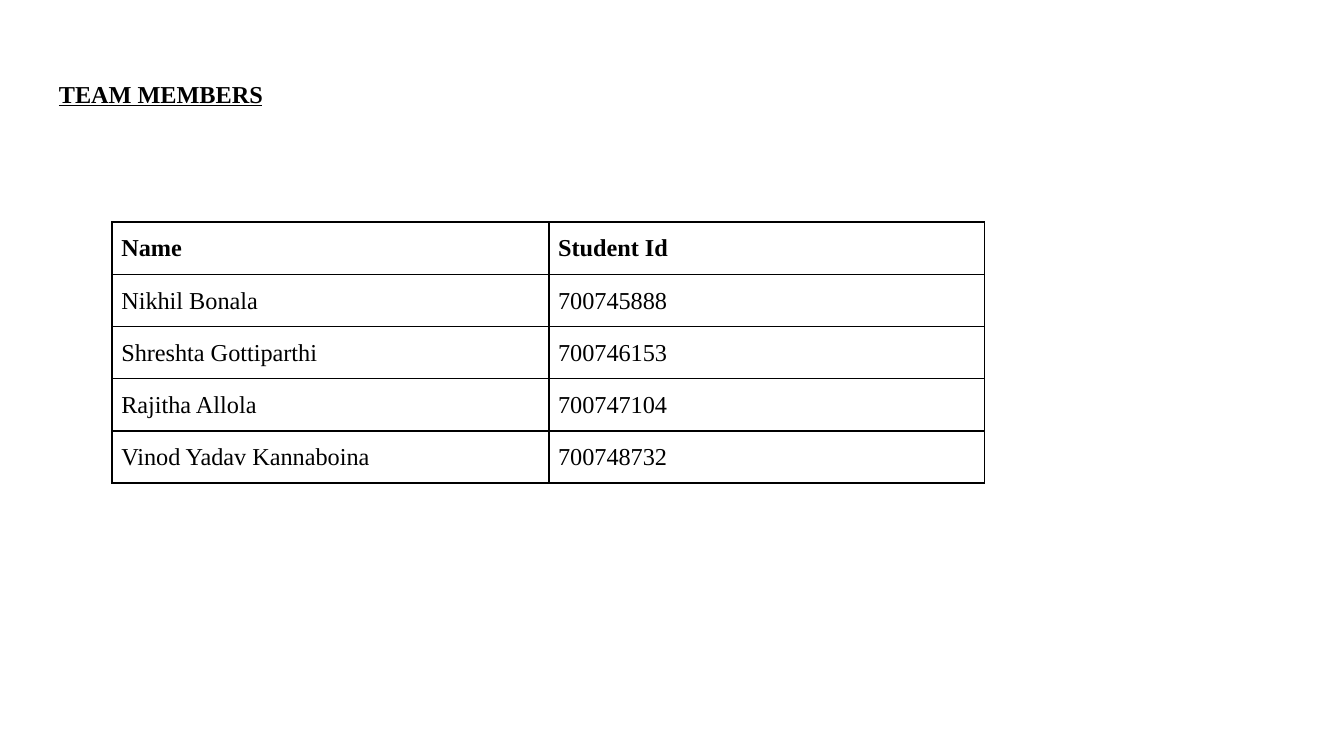
"""Build a slide that lists the team members and their student ids."""
from dataclasses import dataclass

import lxml.etree
import pptx
import pptx.dml.color
import pptx.enum.text
import pptx.oxml.ns
import pptx.slide
import pptx.table
import pptx.text.text
import pptx.util


@dataclass(frozen=True)
class Theme:
    font: str = "Times New Roman"
    size: float = 13
    ink: str = "000000"
    paper: str = "FFFFFF"
    border: float = 1
    title_inset: float = 7.2
    cell_inset: float = 5
    line_spacing: float = 1.15


@dataclass(frozen=True)
class Member:
    name: str
    student_id: str


THEME = Theme()
HEADER = Member("Name", "Student Id")
MEMBERS = [
    Member("Nikhil Bonala", "700745888"),
    Member("Shreshta Gottiparthi", "700746153"),
    Member("Rajitha Allola", "700747104"),
    Member("Vinod Yadav Kannaboina", "700748732"),
]
COLUMN_WIDTHS = (234, 233.5)
ROW_HEIGHT = 25.2


def add_run(para: pptx.text.text._Paragraph, text: str, bold: bool, underline: bool = False) -> None:
    span = para.add_run()
    span.text = text
    span.font.name = THEME.font
    span.font.size = pptx.util.Pt(THEME.size)
    span.font.bold = bold
    span.font.underline = underline
    span.font.color.rgb = pptx.dml.color.RGBColor.from_string(THEME.ink)


def set_margins(target: pptx.table._Cell | pptx.text.text.TextFrame, inset: float) -> None:
    for side in ("left", "top", "right", "bottom"):
        setattr(target, f"margin_{side}", pptx.util.Pt(inset))


def add_title(page: pptx.slide.Slide, text: str) -> None:
    box = page.shapes.add_textbox(
        pptx.util.Pt(24.5), pptx.util.Pt(35), pptx.util.Pt(671), pptx.util.Pt(45)
    )
    frame = box.text_frame
    frame.word_wrap = True
    frame.vertical_anchor = pptx.enum.text.MSO_ANCHOR.TOP
    set_margins(frame, THEME.title_inset)
    add_run(frame.paragraphs[0], text, bold=True, underline=True)


def set_borders(cell: pptx.table._Cell) -> None:
    properties = cell._tc.get_or_add_tcPr()
    qualify = pptx.oxml.ns.qn
    for position, edge in enumerate(("lnL", "lnR", "lnT", "lnB")):
        line = lxml.etree.Element(qualify(f"a:{edge}"), w=str(pptx.util.Pt(THEME.border)))
        fill = lxml.etree.SubElement(line, qualify("a:solidFill"))
        lxml.etree.SubElement(fill, qualify("a:srgbClr"), val=THEME.ink)
        properties.insert(position, line)


def fill_cell(cell: pptx.table._Cell, text: str, bold: bool) -> None:
    cell.fill.solid()
    cell.fill.fore_color.rgb = pptx.dml.color.RGBColor.from_string(THEME.paper)
    set_margins(cell, THEME.cell_inset)
    set_borders(cell)
    para = cell.text_frame.paragraphs[0]
    para.line_spacing = THEME.line_spacing
    add_run(para, text, bold)


def add_member_table(page: pptx.slide.Slide, members: list[Member]) -> None:
    entries = [HEADER, *members]
    table = page.shapes.add_table(
        len(entries), len(COLUMN_WIDTHS), pptx.util.Pt(60), pptx.util.Pt(119),
        pptx.util.Pt(sum(COLUMN_WIDTHS)), pptx.util.Pt(ROW_HEIGHT * len(entries)),
    ).table
    table.first_row = False
    table.horz_banding = False
    for column, width in zip(table.columns, COLUMN_WIDTHS):
        column.width = pptx.util.Pt(width)
    for row, entry in zip(table.rows, entries):
        row.height = pptx.util.Pt(ROW_HEIGHT)
        for cell, text in zip(row.cells, (entry.name, entry.student_id)):
            fill_cell(cell, text, bold=entry is HEADER)


def main() -> None:
    deck = pptx.Presentation()
    deck.slide_width = pptx.util.Pt(720)
    deck.slide_height = pptx.util.Pt(405)
    page = deck.slides.add_slide(deck.slide_layouts[6])
    add_title(page, "TEAM MEMBERS")
    add_member_table(page, MEMBERS)
    deck.save("out.pptx")


if __name__ == "__main__":
    main()
